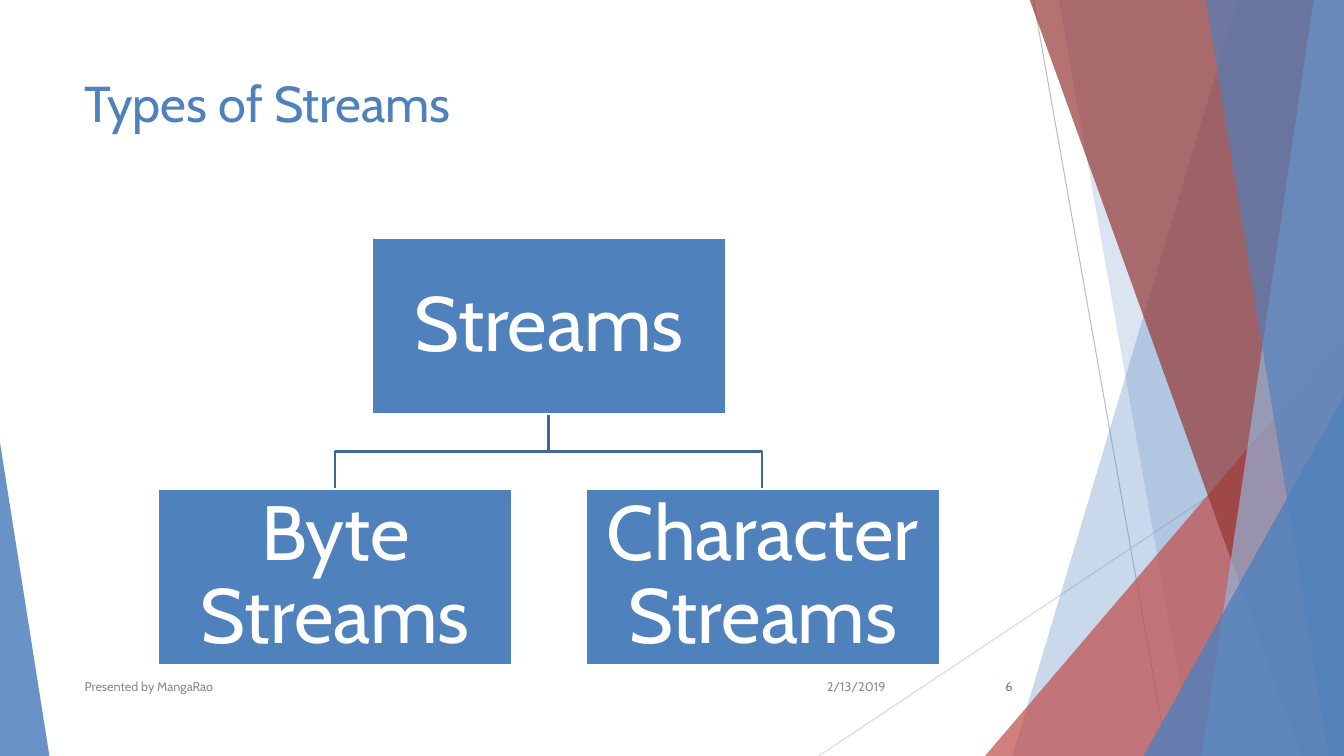
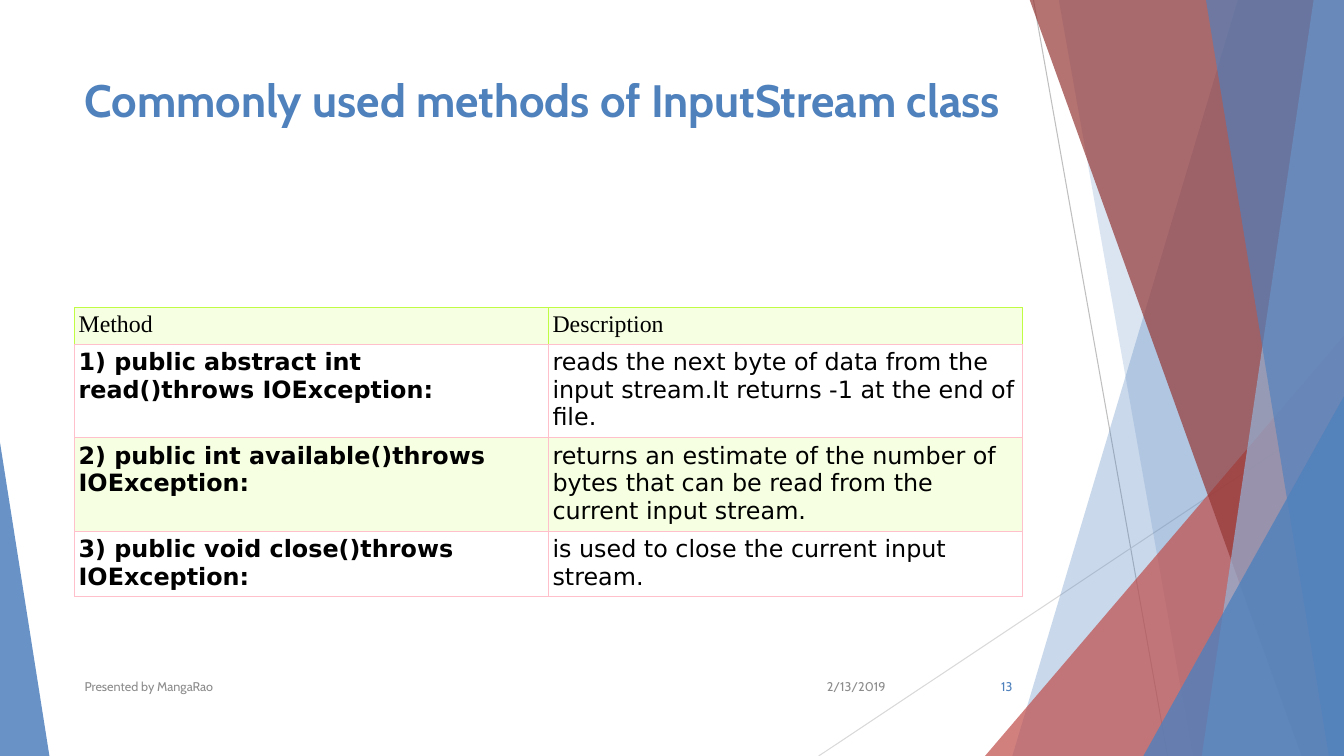
from dataclasses import dataclass

from lxml.etree import SubElement
from pptx import Presentation
from pptx.dml.color import RGBColor
from pptx.enum.shapes import MSO_CONNECTOR as Connector, MSO_SHAPE as Preset
from pptx.enum.text import MSO_ANCHOR as Anchor, PP_ALIGN as Align
from pptx.oxml.ns import qn
from pptx.util import Emu, Pt

PX = 9144  # EMU per px, 100 px to the inch
WIDTH, HEIGHT = 1333, 750
FONT = "Cabin"
COLORS = {
    "blue": "4F81BD", "pale_blue": "95B3D7", "dark_blue": "3F6797",
    "red": "C0504D", "dark_red": "953735",
    "gray": "8C8C8C", "mid_gray": "BFBFBF", "light_gray": "D9D9D9",
    "white": "FFFFFF", "black": "000000",
    "pale_green": "F6FFE1", "lime": "C0FC43", "pink": "FFC0CB",
}


@dataclass(frozen=True)
class Ray:
    start: tuple[int, int]
    end: tuple[int, int]
    color: str


@dataclass(frozen=True)
class Band:
    """A slanted left edge, filled out to the right side of the slide."""
    top_x: int
    bottom_x: int
    color: str
    opacity: int


@dataclass(frozen=True)
class Wedge:
    """A right triangle standing on the bottom of the slide."""
    left: int
    top: int
    width: int
    apex: int
    color: str
    opacity: int


@dataclass(frozen=True)
class Label:
    left: int
    top: int
    width: int
    height: int
    size: float
    color: str
    align: Align = Align.LEFT
    anchor: Anchor = Anchor.MIDDLE


RAYS = [
    Ray((1025, 0), (1158, HEIGHT), "mid_gray"),
    Ray((WIDTH, 403), (812, HEIGHT), "light_gray"),
]
FACETS = [
    Band(1228, 1004, "blue", 30),
    Band(1050, 1183, "blue", 20),
    Wedge(977, 333, 356, 1, "red", 72),
    Band(1021, 1291, "dark_red", 70),
    Band(1303, 1192, "pale_blue", 70),
    Band(1196, 1318, "blue", 65),
    Wedge(1134, 393, 199, 1, "blue", 80),
    Wedge(0, 439, 49, 0, "blue", 85),
]
DATE = Label(788, 661, 100, 40, 9, "gray", Align.RIGHT)
PRESENTER = Label(74, 661, 689, 40, 9, "gray")
NUMBER = Label(939, 661, 75, 40, 9, "blue", Align.RIGHT)

BOX_WIDTH, BOX_HEIGHT = 351, 175
CHART_CENTER, BRANCH = 544, 212
PARENT_TOP, CHILD_TOP = 236, 485

METHOD_ROWS = [
    ("Method", "Description"),
    ("1) public abstract int read()throws IOException:",
     "reads the next byte of data from the input stream.It returns -1 at the end of file."),
    ("2) public int available()throws IOException:",
     "returns an estimate of the number of bytes that can be read from the current input stream."),
    ("3) public void close()throws IOException:",
     "is used to close the current input stream."),
]
ROW_HEIGHTS = [36, 92, 92, 64]


def px(*lengths: int) -> list[Emu]:
    return [Emu(length * PX) for length in lengths]


def rgb(name: str) -> RGBColor:
    return RGBColor.from_string(COLORS[name])


def paint(shape, color: str, opacity: int = 100) -> None:
    """Fill a shape flat, without outline or shadow."""
    shape.shadow.inherit = False
    shape.line.fill.background()
    shape.fill.solid()
    shape.fill.fore_color.rgb = rgb(color)
    if opacity < 100:
        tint = shape.fill._xPr.find(qn("a:solidFill"))[0]
        SubElement(tint, qn("a:alpha"), val=str(opacity * 1000))


def outline(shape, color: str, width: float) -> None:
    shape.line.color.rgb = rgb(color)
    shape.line.width = Pt(width)


def set_font(paragraph, size: float, color: str, name: str = FONT, bold: bool = False) -> None:
    font = paragraph.font
    font.name, font.size, font.bold = name, Pt(size), bold
    font.color.rgb = rgb(color)


def draw_path(slide, points: list[tuple[int, int]], close: bool):
    builder = slide.shapes.build_freeform(*points[0], scale=PX)
    builder.add_line_segments(points[1:], close=close)
    return builder.convert_to_shape()


def draw_ray(slide, ray: Ray) -> None:
    line = slide.shapes.add_connector(Connector.STRAIGHT, *px(*ray.start, *ray.end))
    outline(line, ray.color, 0.75)
    SubElement(line._element.spPr, qn("a:effectLst"))


def draw_facet(slide, facet: Band | Wedge) -> None:
    if isinstance(facet, Band):
        corners = [(facet.top_x, -1), (WIDTH, -1), (WIDTH, HEIGHT), (facet.bottom_x, HEIGHT)]
        shape = draw_path(slide, corners, close=True)
    else:
        shape = slide.shapes.add_shape(
            Preset.ISOSCELES_TRIANGLE,
            *px(facet.left, facet.top, facet.width, HEIGHT - facet.top))
        shape.adjustments[0] = facet.apex
    paint(shape, facet.color, facet.opacity)


def write(slide, label: Label, text: str, bold: bool = False) -> None:
    box = slide.shapes.add_textbox(*px(label.left, label.top, label.width, label.height))
    frame = box.text_frame
    frame.word_wrap = True
    frame.vertical_anchor = label.anchor
    paragraph = frame.paragraphs[0]
    paragraph.text = text
    paragraph.alignment = label.align
    set_font(paragraph, label.size, label.color, bold=bold)


def add_page(deck, title: str, number: int, title_size: float = 36, bold: bool = False):
    """Add a slide with the shared backdrop, title and footer."""
    slide = deck.slides.add_slide(deck.slide_layouts[6])
    for ray in RAYS:
        draw_ray(slide, ray)
    for facet in FACETS:
        draw_facet(slide, facet)
    heading = Label(74, 67, 940, 144, title_size, "blue", anchor=Anchor.TOP)
    write(slide, heading, title, bold)
    write(slide, DATE, "2/13/2019")
    write(slide, PRESENTER, "Presented by MangaRao")
    write(slide, NUMBER, str(number))
    return slide


def draw_stream_box(slide, center: int, top: int, text: str) -> None:
    box = slide.shapes.add_shape(
        Preset.RECTANGLE, *px(center - BOX_WIDTH // 2, top, BOX_WIDTH, BOX_HEIGHT))
    paint(box, "blue")
    outline(box, "white", 1.5)
    frame = box.text_frame
    frame.word_wrap = True
    frame.vertical_anchor = Anchor.MIDDLE
    frame.margin_left = frame.margin_right = frame.margin_top = frame.margin_bottom = Emu(4 * PX)
    paragraph = frame.paragraphs[0]
    paragraph.text = text
    paragraph.alignment = Align.CENTER
    paragraph.line_spacing = 0.9
    set_font(paragraph, 55, "white")


def draw_hierarchy(slide) -> None:
    children = {CHART_CENTER - BRANCH: "Byte Streams", CHART_CENTER + BRANCH: "Character Streams"}
    parent_bottom = PARENT_TOP + BOX_HEIGHT
    bend = (parent_bottom + CHILD_TOP) // 2
    for center in children:
        branch = draw_path(slide, [(CHART_CENTER, parent_bottom), (CHART_CENTER, bend),
                                   (center, bend), (center, CHILD_TOP)], close=False)
        branch.shadow.inherit = False
        branch.fill.background()
        outline(branch, "dark_blue", 1.5)
    draw_stream_box(slide, CHART_CENTER, PARENT_TOP, "Streams")
    for center, text in children.items():
        draw_stream_box(slide, center, CHILD_TOP, text)


def set_borders(cell, colors: dict[str, str]) -> None:
    properties = cell._tc.get_or_add_tcPr()
    for side, color in colors.items():
        border = SubElement(properties, qn(f"a:ln{side}"), w=str(Pt(0.6)))
        SubElement(SubElement(border, qn("a:solidFill")), qn("a:srgbClr"), val=COLORS[color])


def draw_methods(slide) -> None:
    table = slide.shapes.add_table(
        len(METHOD_ROWS), 2, *px(74, 305, 940, sum(ROW_HEIGHTS))).table
    for row, (texts, height) in enumerate(zip(METHOD_ROWS, ROW_HEIGHTS)):
        table.rows[row].height = Emu(height * PX)
        header = row == 0
        edge = "lime" if header else "pink"
        for column, text in enumerate(texts):
            cell = table.cell(row, column)
            cell.margin_left = cell.margin_right = Emu(4 * PX)
            cell.margin_top = cell.margin_bottom = Emu(4 * PX)
            set_borders(cell, {"L": edge, "R": edge, "T": edge, "B": "pink"})
            cell.fill.solid()
            cell.fill.fore_color.rgb = rgb("white" if row % 2 else "pale_green")
            paragraph = cell.text_frame.paragraphs[0]
            paragraph.text = text
            set_font(paragraph, 17, "black",
                     "Times New Roman" if header else "DejaVu Sans",
                     bold=column == 0 and not header)


def main() -> None:
    deck = Presentation()
    deck.slide_width, deck.slide_height = px(WIDTH, HEIGHT)
    draw_hierarchy(add_page(deck, "Types of Streams", 6))
    draw_methods(add_page(deck, "Commonly used methods of InputStream class", 13, 32.4, bold=True))
    deck.save("out.pptx")


if __name__ == "__main__":
    main()
